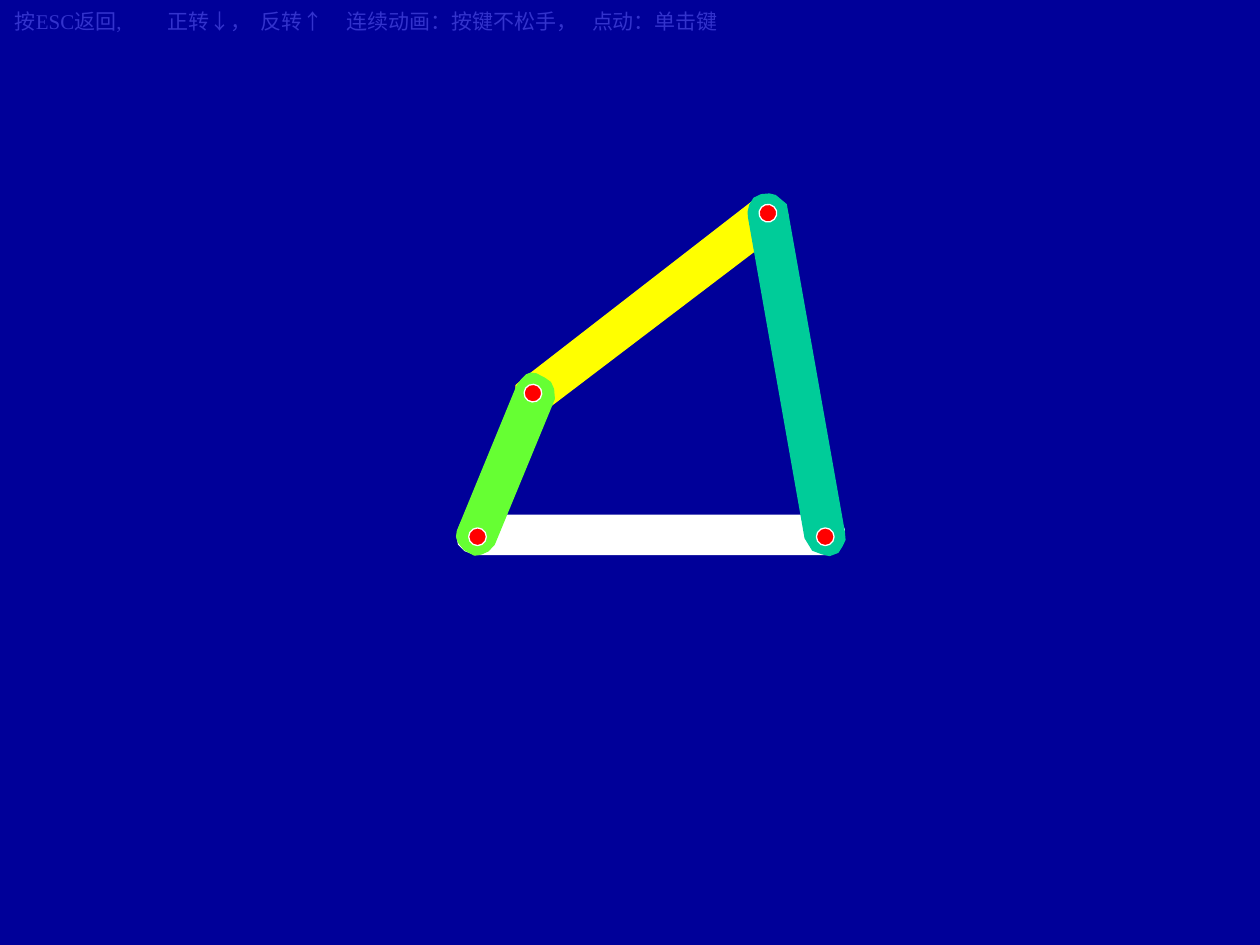
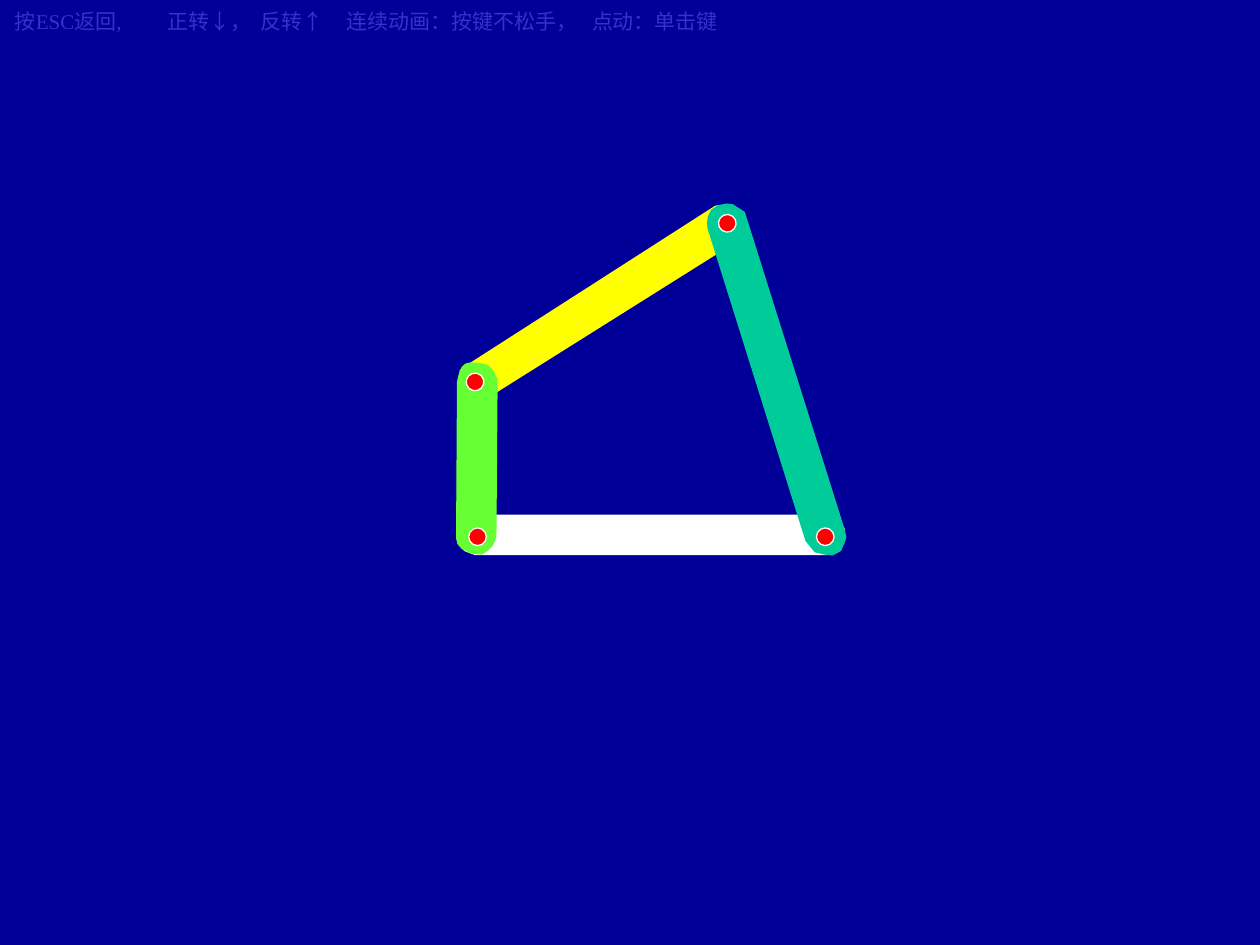
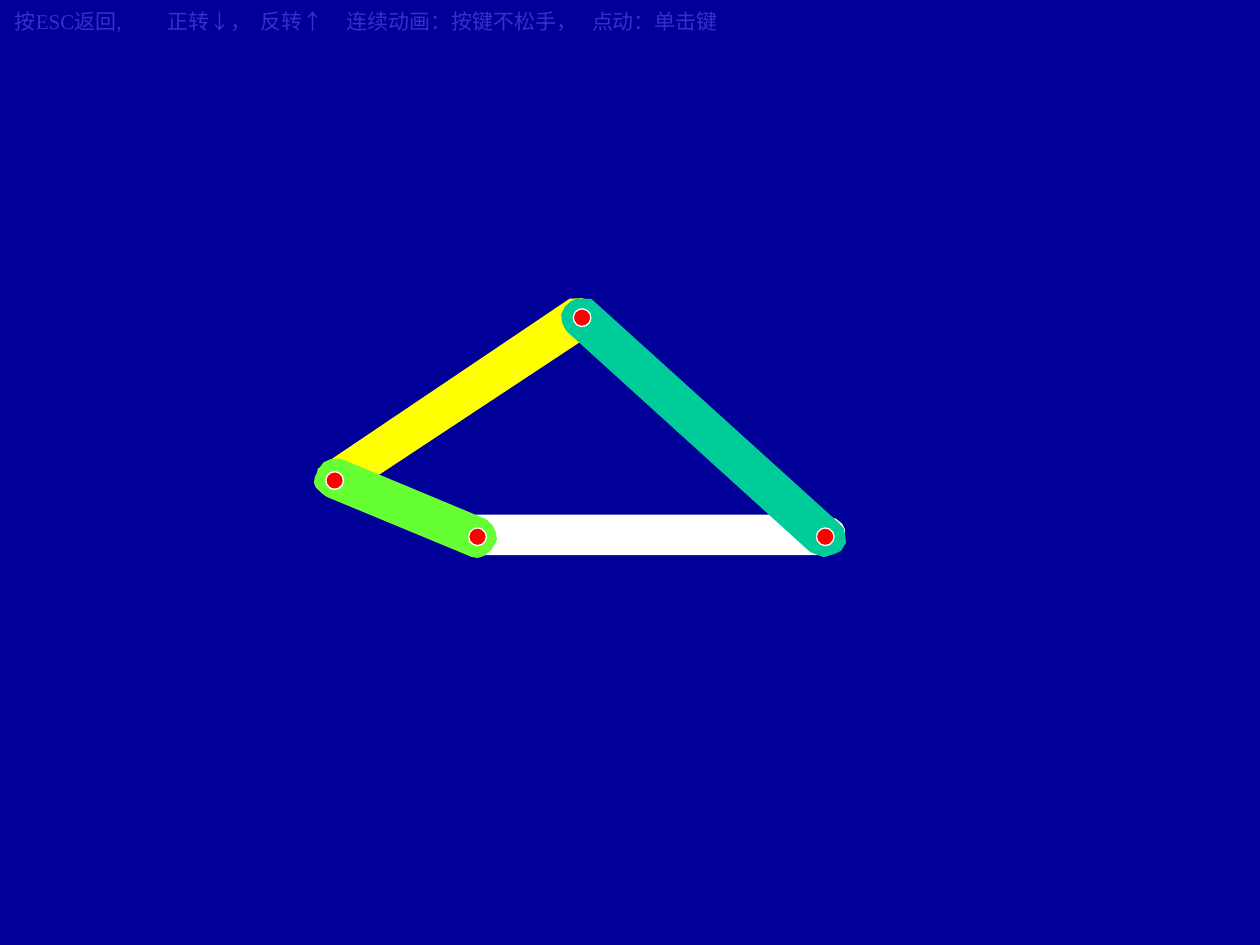
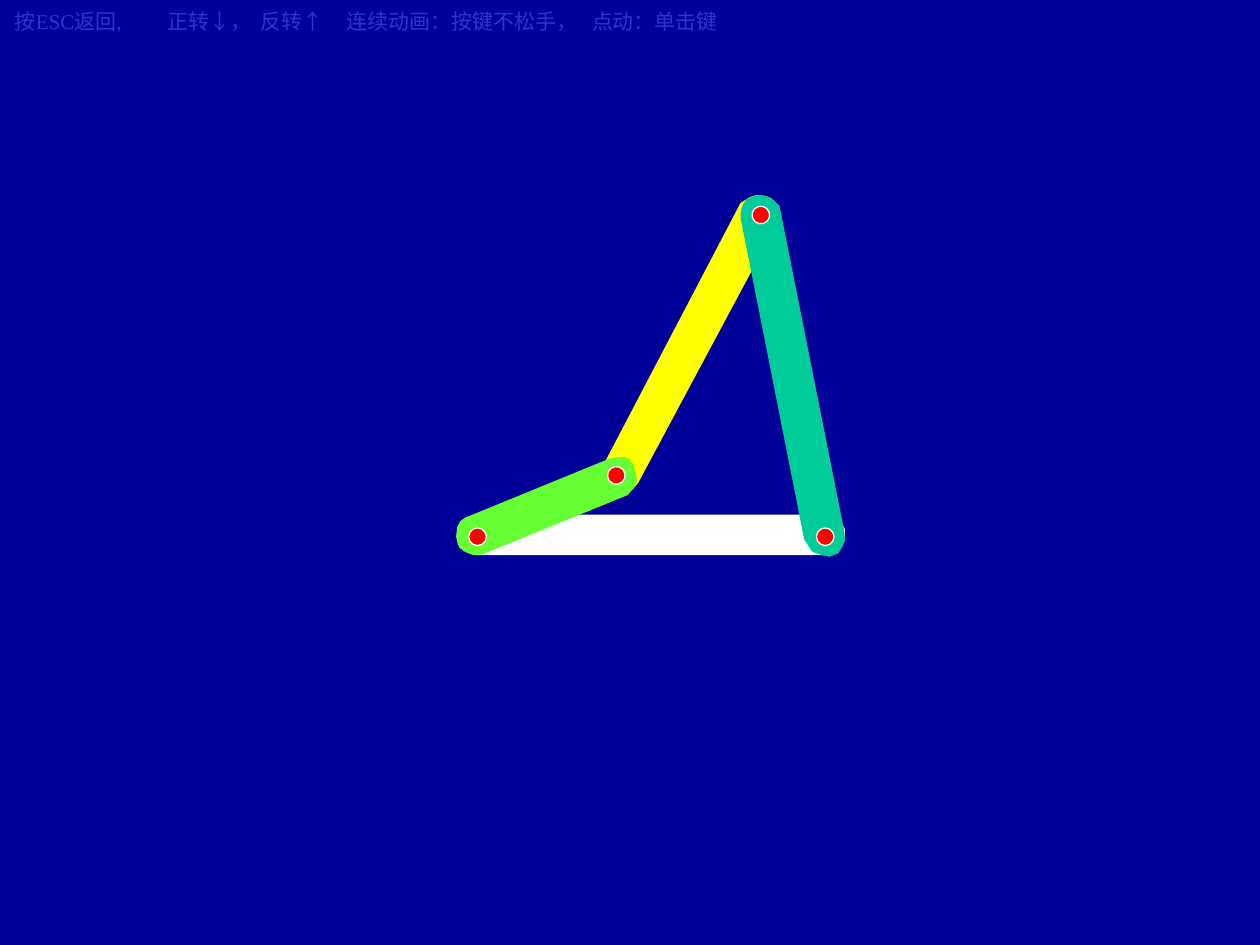
"""Four positions of a crank-rocker linkage, one per slide, on a 1000 x 750 grid."""
from dataclasses import dataclass
from math import cos, radians, sin

from lxml import etree
from pptx import Presentation
from pptx.dml.color import RGBColor
from pptx.enum.shapes import MSO_SHAPE
from pptx.enum.text import MSO_AUTO_SIZE
from pptx.oxml.ns import qn
from pptx.util import Inches, Pt

OVAL = MSO_SHAPE.OVAL
FIT_SHAPE = MSO_AUTO_SIZE.SHAPE_TO_FIT_TEXT


@dataclass(frozen=True)
class Theme:
    background: str = "000099"
    hint: str = "3333CC"
    frame: str = "FFFFFF"
    coupler: str = "FFFF00"
    crank: str = "66FF33"
    rocker: str = "00CC99"
    pin: str = "FF0000"
    pin_line: str = "FFFFFF"
    font: str = "Times New Roman"
    hint_size: float = 12
    line_width: float = 0.75


theme = Theme()
prs = Presentation()
prs.slide_width, prs.slide_height = Inches(10), Inches(7.5)
UNIT = prs.slide_width // 1000
PIN = 14

HINT = ["按ESC返回,", "正转↓，", "反转↑", "连续动画：按键不松手，", "点动：单击键"]
HINT_TABS = [121, 195, 263, 458]

FRAME = [(15, 0), (291, 0), (296, 2), (300, 3), (305, 7), (307, 11), (307, 17),
         (305, 23), (303, 27), (298, 30), (293, 31), (14, 31), (6, 28), (1, 23),
         (0, 18), (1, 11), (3, 6), (7, 2)]
COUPLER = [(7, 121), (207, 0), (216, 0), (220, 1), (226, 5), (229, 9), (231, 16),
           (227, 24), (223, 28), (22, 147), (16, 149), (11, 148), (6, 146),
           (0, 140), (0, 133), (1, 125)]
CRANK = [(27, 139), (0, 18), (0, 12), (1, 6), (3, 3), (7, 1), (14, 0), (20, 0),
         (25, 3), (30, 9), (57, 131), (56, 138), (53, 143), (49, 147), (40, 148),
         (33, 146), (29, 143)]
ROCKER = [(104, 259), (1, 21), (0, 17), (0, 12), (2, 6), (7, 2), (13, 0), (18, 0),
          (22, 2), (28, 5), (133, 247), (135, 253), (134, 258), (132, 264),
          (126, 268), (120, 268), (112, 267), (109, 264)]

LINKS = [
    (FRAME, theme.frame, None),
    (COUPLER, theme.coupler, None),
    (CRANK, theme.crank, (-15, -59)),
    (ROCKER, theme.rocker, (-52, -119)),
]
FRAME_PLACE = (363, 409, 0)
FIXED_PINS = [(655, 426), (379, 426)]

POSES = [
    [(402, 168, 353.4), (373, 295, 34.9), (565, 163, 13.4)],
    [(363, 166, 358.5), (350, 290, 12.9), (549, 167, 6)],
    [(249, 242, 357.2), (294, 329, 305.1), (491, 205, 335.6)],
    [(433, 198, 328.8), (405, 328, 80.3), (562, 164, 12.2)],
]


def paint(sp, fill, line):
    sp.shadow.inherit = False
    sp.fill.solid()
    sp.fill.fore_color.rgb = RGBColor.from_string(fill)
    sp.line.color.rgb = RGBColor.from_string(line)
    sp.line.width = Pt(theme.line_width)


def add_pin(shapes, x, y, angle=0):
    sp = shapes.add_shape(OVAL, round((x - PIN / 2) * UNIT), round((y - PIN / 2) * UNIT),
                          PIN * UNIT, PIN * UNIT)
    paint(sp, theme.pin, theme.pin_line)
    sp.rotation = angle


bg = prs.slide_master.background.fill
bg.solid()
bg.fore_color.rgb = RGBColor.from_string(theme.background)

for pose in POSES:
    s = prs.slides.add_slide(prs.slide_layouts[6])

    for (outline, color, joint), (left, top, angle) in zip(LINKS, [FRAME_PLACE, *pose]):
        builder = s.shapes.build_freeform(*outline[0], scale=UNIT)
        builder.add_line_segments(outline[1:], close=True)
        sp = builder.convert_to_shape(left * UNIT, top * UNIT)
        paint(sp, color, color)
        sp.rotation = angle
        if joint:
            dx, dy = joint
            turn = radians(angle)
            mid_x = left + max(x for x, y in outline) / 2
            mid_y = top + max(y for x, y in outline) / 2
            add_pin(s.shapes, mid_x + dx * cos(turn) - dy * sin(turn),
                    mid_y + dx * sin(turn) + dy * cos(turn), angle)

    for x, y in FIXED_PINS:
        add_pin(s.shapes, x, y)

    tf = s.shapes.add_textbox(2 * UNIT, 2 * UNIT, 649 * UNIT, 30 * UNIT).text_frame
    tf.word_wrap = True
    tf.auto_size = FIT_SHAPE
    p = tf.paragraphs[0]
    p.text = "\t".join(HINT)
    tabs = etree.SubElement(p._p.get_or_add_pPr(), qn("a:tabLst"))
    for pos in HINT_TABS:
        etree.SubElement(tabs, qn("a:tab"), pos=str(pos * UNIT), algn="l")
    for r in p.runs:
        r.font.name = theme.font
        r.font.size = Pt(theme.hint_size)
        r.font.color.rgb = RGBColor.from_string(theme.hint)

prs.save("out.pptx")
